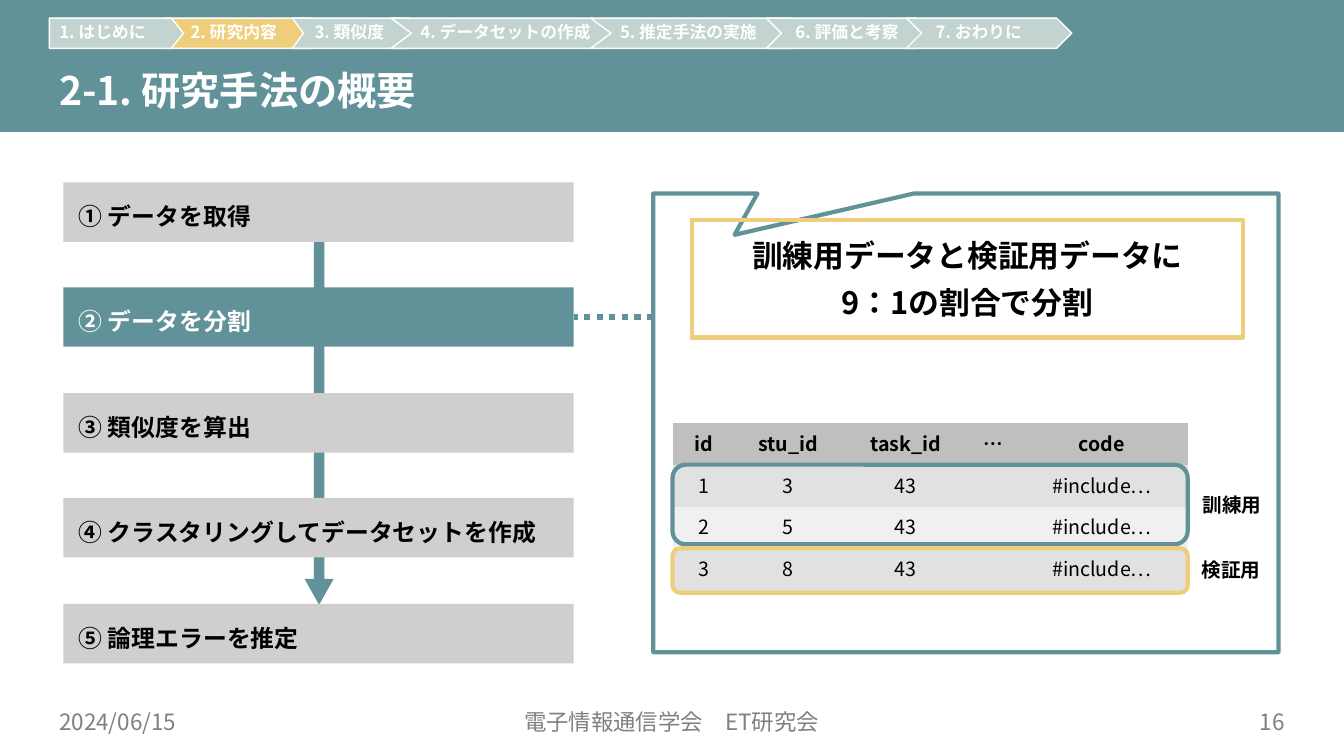
import pptx
import pptx.util
import pptx.dml.color
import pptx.enum.dml
import pptx.enum.lang
import pptx.enum.shapes
import pptx.enum.text
import pptx.oxml.ns
from lxml import etree

# Content
FONT = "Noto Sans CJK JP"
COLORS = {
    "teal": "629299", "pale": "C2D3D0", "gold": "EFCE7B", "gray": "D0CECE",
    "white": "FFFFFF", "black": "000000", "footer": "808080",
    "head": "BFBFBF", "odd": "E1E1E1", "even": "F0F0F0",
}
TITLE = "2-1. 研究手法の概要"
# Label, left, width, text inset, fill; the first chapter overlaps the second
CHAPTERS = [
    ("2. 研究内容", 164, 158, 25, "gold"),
    ("1. はじめに", 49, 133, 10, "pale"),
    ("3. 類似度", 290, 127, 22, "pale"),
    ("4. データセットの作成", 388, 220, 29, "pale"),
    ("5. 推定手法の実施", 586, 220, 29, "pale"),
    ("6. 評価と考察", 760, 164, 29, "pale"),
    ("7. おわりに", 899, 164, 29, "pale"),
]
STEPS = ["① データを取得", "② データを分割", "③ 類似度を算出",
         "④ クラスタリングしてデータセットを作成", "⑤ 論理エラーを推定"]
CURRENT_STEP = 1
HEADLINE = ["訓練用データと検証用データに", "9：1の割合で分割"]
ROWS = [
    ("id", "stu_id", "task_id", "…", "code"),
    ("1", "3", "43", "", "#include…"),
    ("2", "5", "43", "", "#include…"),
    ("3", "8", "43", "", "#include…"),
]
COLUMN_WIDTHS = [62, 105, 129, 45, 170]
# Label, label box, outline box, outline colour
GROUPS = [
    ("訓練用", (1183, 484, 78, 34), (667, 461, 511, 79), "teal"),
    ("検証用", (1182, 549, 78, 34), (667, 544, 511, 44), "gold"),
]
FOOTERS = [
    ("2024/06/15", (49, 696, 300, 40), "LEFT"),
    ("16", (984, 696, 300, 40), "RIGHT"),
    ("電子情報通信学会　ET研究会", (416, 695, 500, 41), "CENTER"),
]

# Layout, 100 px to the inch
PX = 9144
NO_GRID_STYLE = "{2D5ABB26-0587-4C30-8999-92F81FD0307C}"
CHAPTER_TOP, CHAPTER_HEIGHT, TIP_SHARE = 18, 30, 0.09
STEP_LEFT, STEP_TOP, STEP_WIDTH, STEP_HEIGHT, STEP_PITCH = 63, 181, 506, 59, 104.5
CALLOUT = (648, 192, 620, 455)

SHAPES = pptx.enum.shapes.MSO_SHAPE
ANCHORS = pptx.enum.text.MSO_ANCHOR

presentation = pptx.Presentation()
presentation.slide_width = 1333 * PX
presentation.slide_height = 750 * PX
slide = presentation.slides.add_slide(presentation.slide_layouts[6])


def scaled(box):
    return [length * PX for length in box]


def rgb(name):
    return pptx.dml.color.RGBColor.from_string(COLORS[name])


def write(frame, lines, size=16, color="black", bold=False, align="LEFT",
          anchor="TOP", spacing=None, before=None, insets=(10, 5, 10, 5)):
    frame.word_wrap = True
    frame.vertical_anchor = getattr(ANCHORS, anchor)
    (frame.margin_left, frame.margin_top,
     frame.margin_right, frame.margin_bottom) = scaled(insets)
    for index, line in enumerate(lines):
        paragraph = frame.add_paragraph() if index else frame.paragraphs[0]
        paragraph.alignment = getattr(pptx.enum.text.PP_ALIGN, align)
        paragraph.line_spacing = spacing
        paragraph.space_before = before
        if not line:
            continue
        run = paragraph.add_run()
        run.text = line
        run.font.size = pptx.util.Pt(size)
        run.font.bold = bold
        run.font.name = FONT
        run.font.language_id = pptx.enum.lang.MSO_LANGUAGE_ID.JAPANESE
        run.font.color.rgb = rgb(color)
        east_asian = etree.SubElement(run.font._element, pptx.oxml.ns.qn("a:ea"))
        east_asian.set("typeface", FONT)


def add_text(box, text, **style):
    write(slide.shapes.add_textbox(*scaled(box)).text_frame, [text], **style)


def style_shape(shape, fill=None, line=None, width=3):
    shape.shadow.inherit = False
    if fill:
        shape.fill.solid()
        shape.fill.fore_color.rgb = rgb(fill)
    else:
        shape.fill.background()
    if line:
        shape.line.color.rgb = rgb(line)
        shape.line.width = pptx.util.Pt(width)
    else:
        shape.line.fill.background()


def add_shape(kind, box, adjustments=(), **style):
    shape = slide.shapes.add_shape(kind, *scaled(box))
    for index, value in enumerate(adjustments):
        shape.adjustments[index] = value
    style_shape(shape, **style)
    return shape


# Flow arrow, title band and title
add_shape(SHAPES.DOWN_ARROW, (302, 222, 29, 378), (0.36, 0.89), fill="teal")
add_shape(SHAPES.RECTANGLE, (0, 0, 1333, 131), fill="teal")
add_text((49, 53, 993, 79), TITLE, size=28, color="white", bold=True,
         anchor="MIDDLE", spacing=0.9)

# Steps
steps = []
for index, label in enumerate(STEPS):
    current = index == CURRENT_STEP
    top = int(STEP_TOP + index * STEP_PITCH)
    step = add_shape(SHAPES.RECTANGLE, (STEP_LEFT, top, STEP_WIDTH, STEP_HEIGHT),
                     fill="teal" if current else "gray")
    write(step.text_frame, [label], size=17, bold=True,
          color="white" if current else "black", spacing=pptx.util.Pt(25),
          before=pptx.util.Pt(10), insets=(15, 13, 10, 0))
    steps.append(step)

# Callout with its headline, joined to the current step
add_shape(SHAPES.RECTANGULAR_CALLOUT, CALLOUT, (-0.37, -0.41), line="teal")
headline = add_shape(SHAPES.RECTANGLE, (686, 218, 547, 117), line="gold")
write(headline.text_frame, HEADLINE, size=22, bold=True, align="CENTER",
      spacing=pptx.util.Pt(23), before=pptx.util.Pt(10), insets=(10, 22, 10, 5))

current_step = steps[CURRENT_STEP]
middle = current_step.top + current_step.height // 2
link = slide.shapes.add_connector(
    pptx.enum.shapes.MSO_CONNECTOR.STRAIGHT, CALLOUT[0] * PX, middle,
    current_step.left + current_step.width, middle)
link.end_connect(current_step, 3)
link.line.color.rgb = rgb("teal")
link.line.width = pptx.util.Pt(4.5)
link.line.dash_style = pptx.enum.dml.MSO_LINE.ROUND_DOT
etree.SubElement(link._element.spPr, pptx.oxml.ns.qn("a:effectLst"))

# Data table
table = slide.shapes.add_table(len(ROWS), len(COLUMN_WIDTHS),
                               *scaled((667, 420, 511, 166))).table
table.first_row = table.horz_banding = False
table._tbl.tblPr.find(pptx.oxml.ns.qn("a:tableStyleId")).text = NO_GRID_STYLE
for column, width in zip(table.columns, COLUMN_WIDTHS):
    column.width = width * PX
for row_index, row in enumerate(ROWS):
    fill = "head" if row_index == 0 else "odd" if row_index % 2 else "even"
    for column_index, value in enumerate(row):
        cell = table.cell(row_index, column_index)
        cell.fill.solid()
        cell.fill.fore_color.rgb = rgb(fill)
        write(cell.text_frame, [value], size=14, bold=row_index == 0, align="CENTER")

# Training and validation groups
for label, label_box, outline_box, color in GROUPS:
    add_shape(SHAPES.ROUNDED_RECTANGLE, outline_box, line=color)
    add_text(label_box, label, size=14, bold=True, insets=(10, 5, 0, 0))

# Footer
for text, box, align in FOOTERS:
    add_text(box, text, color="footer", align=align, anchor="MIDDLE")

# Chapter bar
bottom = CHAPTER_TOP + CHAPTER_HEIGHT
center = CHAPTER_TOP + CHAPTER_HEIGHT // 2
for label, left, width, inset, fill in CHAPTERS:
    tip = round(width * TIP_SHARE)
    right = left + width
    points = [(right - tip, CHAPTER_TOP), (right, center), (right - tip, bottom),
              (left, bottom)]
    if not label.startswith("1."):
        points.append((left + tip, center))
    builder = slide.shapes.build_freeform(left, CHAPTER_TOP, scale=PX)
    builder.add_line_segments(points, close=True)
    chapter = builder.convert_to_shape()
    style_shape(chapter, fill=fill, line="white", width=1)
    write(chapter.text_frame, [label], size=12, color="white", bold=True,
          anchor="MIDDLE", spacing=0.9, insets=(inset, 3, 0, 3))

presentation.save("out.pptx")
